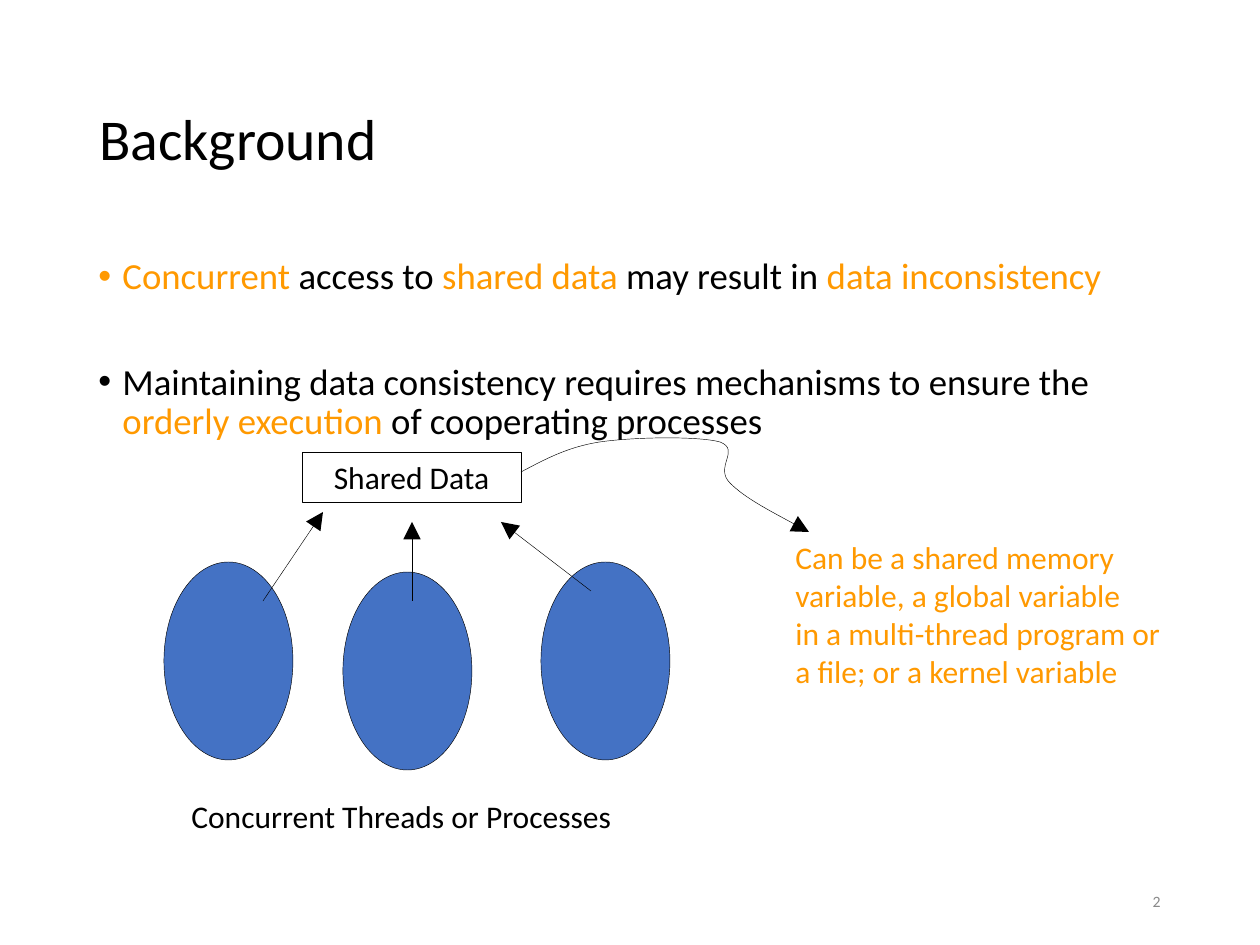
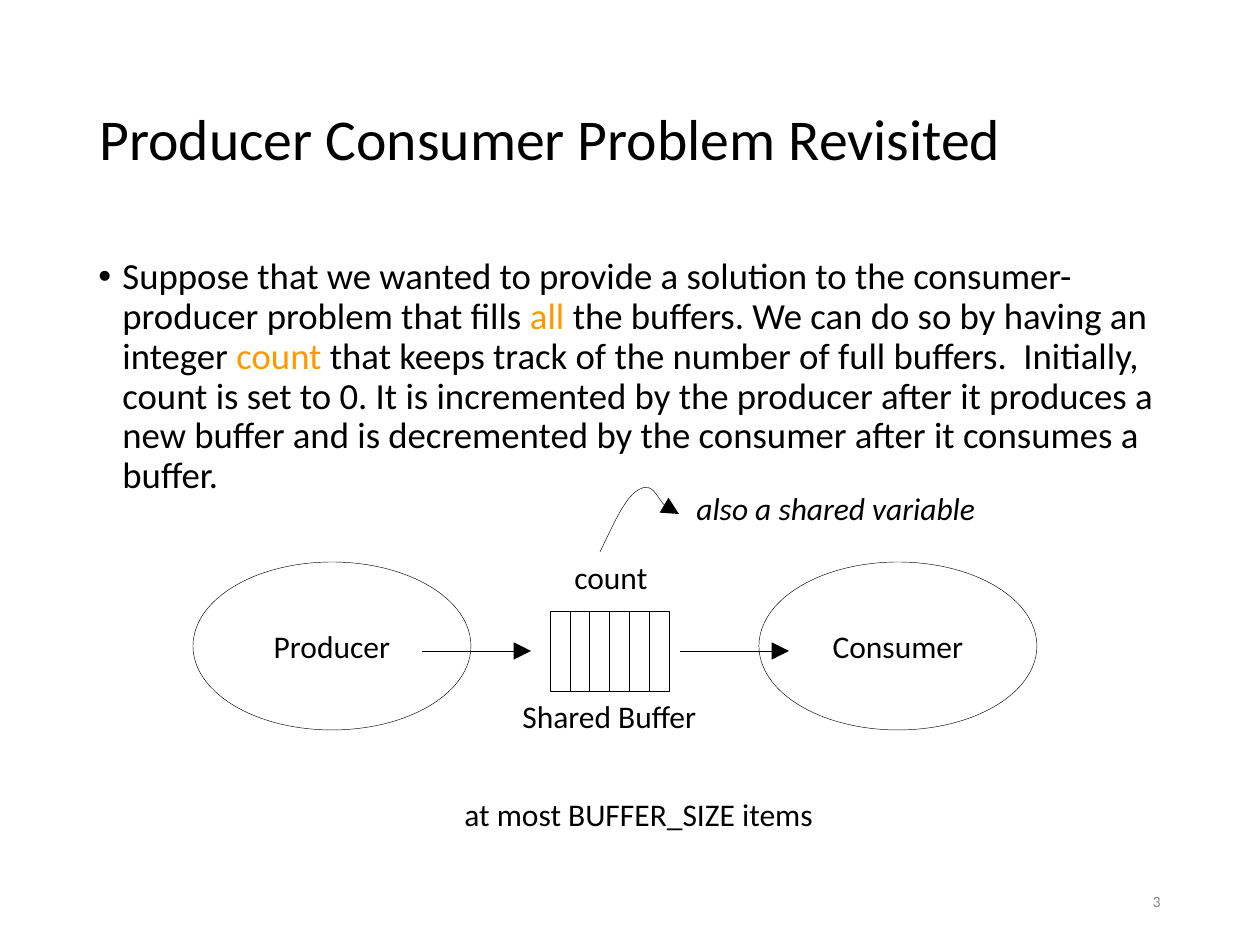
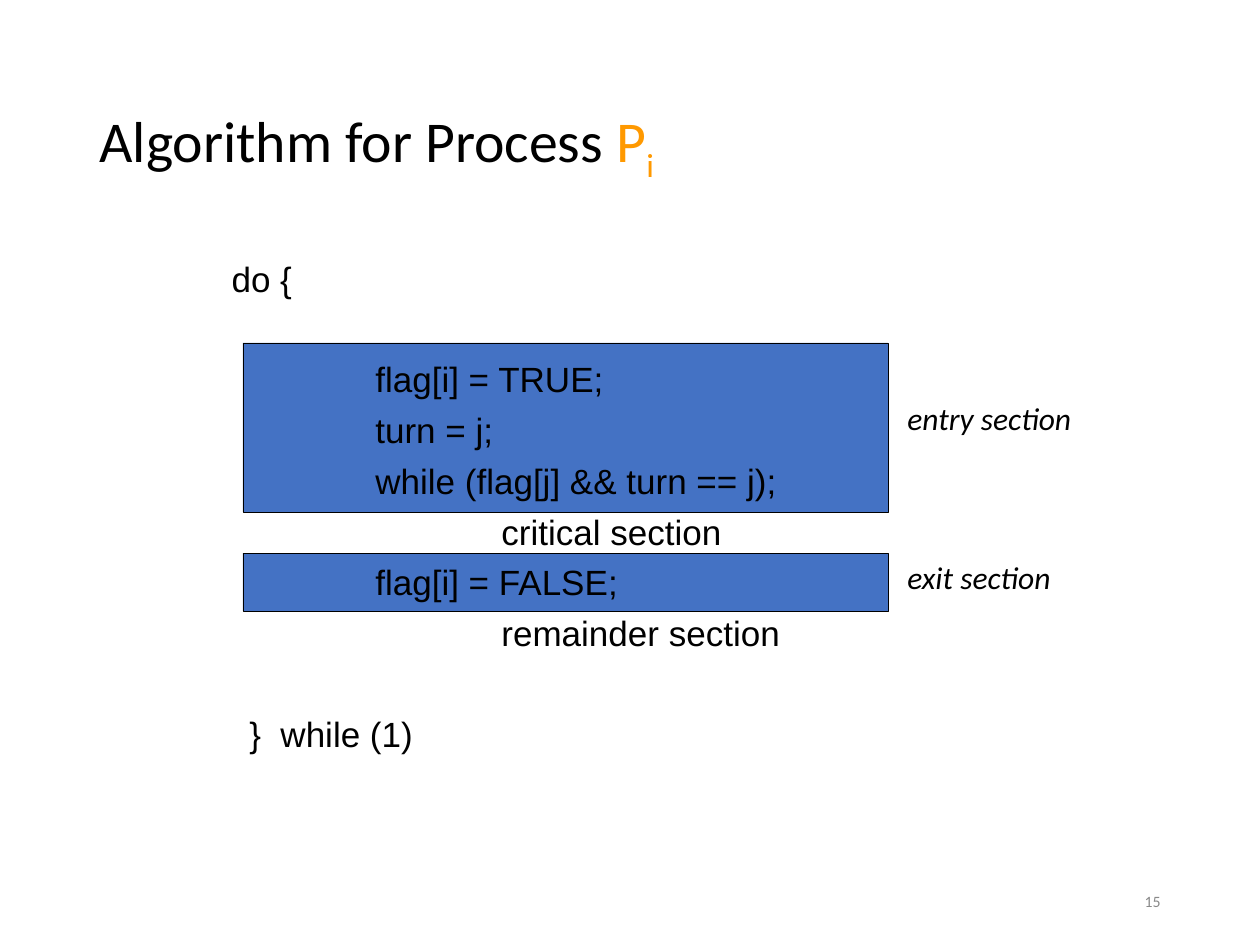
import pptx
import pptx.dml.color
import pptx.enum.shapes
import pptx.enum.text
import pptx.oxml
import pptx.oxml.ns
import pptx.util

INK, GOLD, BLUE, GREY = "000000", "FF9900", "4472C4", "898989"
BODY, CODE = "Calibri", "Arial"
ALIGN = pptx.enum.text.PP_ALIGN
ANCHOR = pptx.enum.text.MSO_ANCHOR
KIND = pptx.enum.shapes.MSO_SHAPE
qn = pptx.oxml.ns.qn


def px(num):
    """Turn pixels, 126 to the inch, into EMU."""
    return pptx.util.Emu(round(num * 914400 / 126))


def rgb(code):
    """Turn a hex string into a colour."""
    return pptx.dml.color.RGBColor.from_string(code)


def add(node, tag, **attrs):
    """Append a drawing element to a node."""
    child = pptx.oxml.parse_xml(f"<a:{tag} {pptx.oxml.ns.nsdecls('a')}/>")
    for key, val in attrs.items():
        child.set(key, str(val))
    node.append(child)
    return child


def style(para, size, color=INK, face=BODY, italic=None):
    """Set the font of a paragraph."""
    font = para.font
    font.size, font.name, font.italic = pptx.util.Pt(size), face, italic
    font.color.rgb = rgb(color)


def runs(para, parts):
    """Add runs, each given as text and colour."""
    for text, color in parts:
        run = para.add_run()
        run.text = text
        run.font.color.rgb = rgb(color)


def hang(para, indent):
    """Give a paragraph a hanging indent and return its properties."""
    props = para._p.get_or_add_pPr()
    props.set("marL", str(px(indent)))
    props.set("indent", str(px(-indent)))
    return props


def text_box(slide, left, top, width, height, wrap=True):
    """Add an empty text box and return its frame."""
    frame = slide.shapes.add_textbox(px(left), px(top), px(width), px(height)).text_frame
    frame.word_wrap = wrap
    return frame


def label(slide, left, top, width, lines, color=INK, italic=None):
    """Add an unwrapped label that fits its text."""
    frame = text_box(slide, left, top, width, 50, False)
    frame.auto_size = pptx.enum.text.MSO_AUTO_SIZE.SHAPE_TO_FIT_TEXT
    frame.text = lines
    for para in frame.paragraphs:
        style(para, 18, color, italic=italic)


def outline(item):
    """Give a shape or line a thin black stroke."""
    item.line.color.rgb = rgb(INK)
    item.line.width = pptx.util.Pt(0.25)


def shape(slide, kind, left, top, width, height, fill=None, text=None):
    """Add a preset shape with a thin outline."""
    item = slide.shapes.add_shape(kind, px(left), px(top), px(width), px(height))
    item.shadow.inherit = False
    outline(item)
    if fill:
        item.fill.solid()
        item.fill.fore_color.rgb = rgb(fill)
    else:
        item.fill.background()
    if text:
        frame = item.text_frame
        frame.word_wrap = False
        frame.vertical_anchor = ANCHOR.MIDDLE
        para = frame.paragraphs[0]
        para.text, para.alignment = text, ALIGN.CENTER
        style(para, 18)


def tip(item):
    """Put a large arrowhead at the end of a line."""
    add(item.line._get_or_add_ln(), "tailEnd", type="triangle", w="lg", len="lg")


def arrow(slide, *ends):
    """Add a straight arrow from x, y to x, y."""
    straight = pptx.enum.shapes.MSO_CONNECTOR.STRAIGHT
    item = slide.shapes.add_connector(straight, *map(px, ends))
    outline(item)
    tip(item)
    add(item._element.spPr, "effectLst")


def curve(slide, left, top, start, *points):
    """Add a curved arrow through cubic control points."""
    spots = [(px(left + x), px(top + y)) for x, y in (start, *points)]
    form = slide.shapes.build_freeform(*spots[0])
    form.add_line_segments(spots[1:], close=False)
    item = form.convert_to_shape()
    item.shadow.inherit = False
    item.fill.background()
    outline(item)
    tip(item)
    steps = list(item._element.iter(qn("a:lnTo")))
    for at in range(0, len(steps), 3):
        bend = pptx.oxml.parse_xml(f"<a:cubicBezTo {pptx.oxml.ns.nsdecls('a')}/>")
        steps[at].addprevious(bend)
        for step in steps[at:at + 3]:
            bend.append(step[0])
            step.getparent().remove(step)


def frame_slide(deck, title, number):
    """Add a slide with its title and page number."""
    slide = deck.slides.add_slide(deck.slide_layouts[6])
    frame = text_box(slide, 87, 50, 1087, 183)
    frame.vertical_anchor = ANCHOR.MIDDLE
    head = frame.paragraphs[0]
    head.line_spacing = 0.9
    style(head, 33)
    runs(head, title)
    frame = text_box(slide, 890, 876, 283, 50)
    frame.vertical_anchor = ANCHOR.MIDDLE
    foot = frame.paragraphs[0]
    foot.text, foot.alignment = number, ALIGN.RIGHT
    style(foot, 9, GREY)
    return slide


def bullets(slide, items):
    """Add the bulleted body text."""
    frame = text_box(slide, 86, 252, 1088, 600)
    for at, parts in enumerate(items):
        para = frame.add_paragraph() if at else frame.paragraphs[0]
        props = hang(para, 24)
        add(add(props, "buClr"), "srgbClr", val=parts[0][1])
        add(props, "buFont", typeface="Arial")
        add(props, "buChar", char="•")
        para.line_spacing = 0.9
        if at:
            para.space_before = pptx.util.Pt(37.5)
        style(para, 21)
        runs(para, parts)


def threads(slide, left, top):
    """Draw threads that reach for shared data."""
    for x, y in ((0, 126), (179, 136), (377, 126)):
        shape(slide, KIND.OVAL, left + x, top + y, 129, 198, BLUE)
    shape(slide, KIND.RECTANGLE, left + 138, top + 16, 219, 50, text="Shared Data")
    for x, y, to_x, to_y in ((99, 165, 159, 76), (248, 165, 248, 86), (427, 155, 337, 86)):
        arrow(slide, left + x, top + y, left + to_x, top + to_y)
    label(slide, left + 15, top + 355, 446, "Concurrent Threads or Processes")
    curve(slide, left, top, (357, 36), (380, 24), (403, 11), (436, 6),
          (470, 1), (534, 0), (556, 6), (577, 14), (550, 31), (566, 47),
          (581, 62), (612, 78), (645, 96))
    label(slide, left + 619, top + 96, 392,
          "Can be a shared memory \vvariable, a global variable\n"
          "in a multi-thread program or\va file; or a kernel variable", GOLD)


def buffer(slide, left, top):
    """Draw the producer, the buffer and the consumer."""
    for cell in range(6):
        shape(slide, KIND.RECTANGLE, left + 357 + 119 * cell / 6, top + 129, 119 / 6, 80)
    label(slide, left + 317, top + 209, 200, "Shared Buffer")
    for x, name in ((0, "Producer"), (566, "Consumer")):
        shape(slide, KIND.OVAL, left + x, top + 80, 278, 168, text=name)
    for x in (229, 487):
        arrow(slide, left + x, top + 169, left + x + 109, top + 169)
    label(slide, left + 369, top + 70, 98, "count")
    curve(slide, left, top, (407, 70), (421, 41), (433, 13), (447, 7),
          (460, 0), (471, 32), (486, 32))
    label(slide, left + 491, top + 1, 304, "also a shared variable", italic=True)
    label(slide, left + 259, top + 307, 374, "at most BUFFER_SIZE items")


def listing(slide, left, top):
    """Show the code with its entry and exit bands."""
    shape(slide, KIND.RECTANGLE, left + 53, top + 302, 645, 58, BLUE)
    shape(slide, KIND.RECTANGLE, left + 53, top + 92, 645, 169, BLUE)
    frame = text_box(slide, left, top, 926, 548)
    lines = (("   do {", 0), ("\t\tflag[i] = TRUE;", 33.5), ("\t\tturn = j;", 5),
             ("\t\twhile (flag[j] && turn == j);", 5), ("\t\t\tcritical section", 5),
             ("\t\tflag[i] = FALSE;", 5), ("\t\t\tremainder section", 5),
             ("\t}  while (1)", 33.5))
    for at, (text, gap) in enumerate(lines):
        para = frame.add_paragraph() if at else frame.paragraphs[0]
        hang(para, 47).set("defTabSz", str(px(126)))
        if gap:
            para.space_before = pptx.util.Pt(gap)
        style(para, 20, face=CODE)
        para.add_run().text = text
    label(slide, left + 705, top + 142, 189, "entry section", italic=True)
    label(slide, left + 705, top + 301, 169, "exit section", italic=True)


def main():
    """Build the deck."""
    deck = pptx.Presentation()
    deck.slide_width, deck.slide_height = px(1260), px(945)

    slide = frame_slide(deck, [("Background", INK)], "2")
    bullets(slide, [
        [("Concurrent", GOLD), (" access to ", INK), ("shared data", GOLD),
         (" may result in ", INK), ("data inconsistency", GOLD)],
        [("Maintaining data consistency requires mechanisms to ensure the ", INK),
         ("orderly execution", GOLD), (" of cooperating processes", INK)]])
    threads(slide, 164, 436)

    slide = frame_slide(deck, [("Producer Consumer Problem Revisited", INK)], "3")
    bullets(slide, [[
        ("Suppose that we wanted to provide a solution to the consumer-producer "
         "problem that fills ", INK), ("all ", GOLD),
        ("the buffers. We can do so by having an integer ", INK), ("count", GOLD),
        (" that keeps track of the number of full buffers.  Initially, count is set "
         "to 0. It is incremented by the producer after it produces a new buffer and "
         "is decremented by the consumer after it consumes a buffer.", INK)]])
    buffer(slide, 193, 482)

    title = [("Algorithm for Process ", INK), ("P", GOLD), ("i", GOLD)]
    slide = frame_slide(deck, title, "15")
    sub = slide.shapes[0].text_frame.paragraphs[0].runs[-1]
    sub.font._element.set("baseline", "-25000")
    listing(slide, 190, 251)

    deck.save("out.pptx")


if __name__ == "__main__":
    main()
